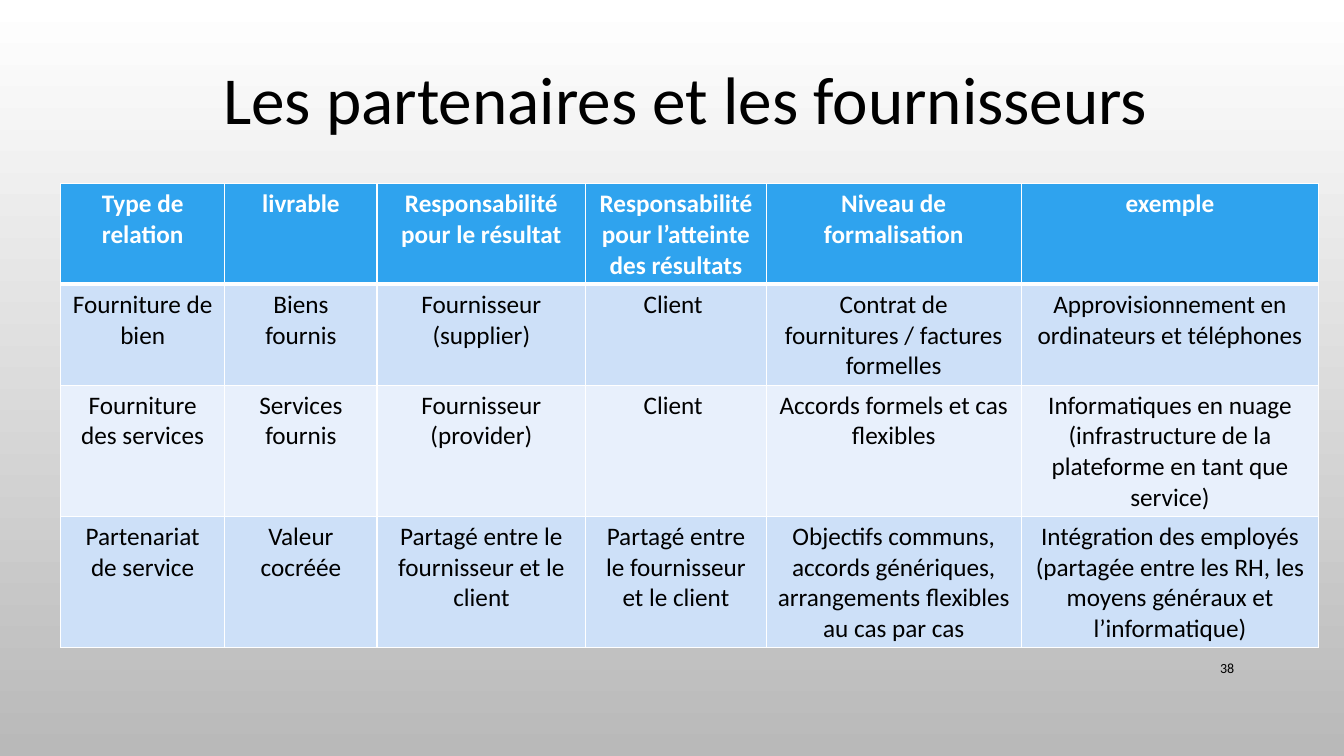
from dataclasses import dataclass

from lxml.etree import SubElement
from pptx import Presentation
from pptx.dml.color import RGBColor
from pptx.enum.text import MSO_ANCHOR, PP_ALIGN
from pptx.oxml import parse_xml
from pptx.oxml.ns import nsdecls, qn
from pptx.util import Inches, Pt


@dataclass(frozen=True)
class Theme:
    font: str = "Calibri"
    title: int = 48
    body: int = 18
    number: int = 10
    black: str = "000000"
    white: str = "FFFFFF"
    grey: str = "B9B9B9"
    header: str = "2FA3EE"
    bands: tuple = ("CDE0F8", "E8F0FC")
    thin: int = 1
    thick: int = 3


T = Theme()
COLS = (1.63, 1.51, 2.07, 1.79, 2.53, 2.95)
ROWS = (0.99, 1, 1.3, 1.3)
SHARED = "Partagé entre le fournisseur et le client"
CELLS = (
    ("Type de relation", "livrable", "Responsabilité pour le résultat",
     "Responsabilité pour l’atteinte des résultats",
     "Niveau de formalisation", "exemple"),
    ("Fourniture de bien", "Biens fournis", "Fournisseur (supplier)", "Client ",
     "Contrat de fournitures / factures formelles",
     "Approvisionnement en ordinateurs et téléphones"),
    ("Fourniture des services", "Services fournis", "Fournisseur (provider)",
     "Client ", "Accords formels et cas flexibles",
     "Informatiques en nuage (infrastructure de la plateforme en tant que service)"),
    ("Partenariat de service", "Valeur cocréée", SHARED, SHARED,
     "Objectifs communs, accords génériques, arrangements flexibles au cas par cas",
     "Intégration des employés (partagée entre les RH, les moyens généraux "
     "et l’informatique)"),
)


def write(tf, text, size=T.body, color=T.black, bold=False,
          align=PP_ALIGN.CENTER, anchor=MSO_ANCHOR.TOP):
    tf.word_wrap = True
    tf.vertical_anchor = anchor
    p = tf.paragraphs[0]
    p.alignment = align
    r = p.add_run()
    r.text = text
    r.font.name = T.font
    r.font.size = Pt(size)
    r.font.bold = bold
    r.font.color.rgb = RGBColor.from_string(color)


def add_borders(cell, top, bottom):
    tc_pr = cell._tc.get_or_add_tcPr()
    widths = {"lnL": T.thin, "lnR": T.thin, "lnT": top, "lnB": bottom}
    for i, (tag, width) in enumerate(widths.items()):
        ln = parse_xml(f'<a:{tag} {nsdecls("a")} w="{Pt(width)}"/>')
        fill = SubElement(ln, qn("a:solidFill"))
        SubElement(fill, qn("a:srgbClr"), val=T.white)
        tc_pr.insert(i, ln)


def add_background(s):
    fill = s.background.fill
    fill.gradient()
    fill.gradient_angle = 270
    for stop, color, position in zip(fill.gradient_stops, (T.white, T.grey), (0, 1)):
        stop.color.rgb = RGBColor.from_string(color)
        stop.position = position


def add_title(s, x, y, w, h):
    sp = s.shapes.title
    sp.left, sp.top, sp.width, sp.height = map(Inches, (x, y, w, h))
    write(sp.text_frame, "Les partenaires et les fournisseurs",
          size=T.title, anchor=MSO_ANCHOR.MIDDLE)


def add_relations(s, x, y):
    frame = s.shapes.add_table(len(ROWS), len(COLS), Inches(x), Inches(y),
                               Inches(sum(COLS)), Inches(sum(ROWS)))
    table = frame.table
    for col, width in zip(table.columns, COLS):
        col.width = Inches(width)
    for i, (row, height) in enumerate(zip(table.rows, ROWS)):
        row.height = Inches(height)
        head = i == 0
        fill = T.header if head else T.bands[(i - 1) % 2]
        for cell, text in zip(row.cells, CELLS[i]):
            write(cell.text_frame, text, bold=head,
                  color=T.white if head else T.black)
            cell.fill.solid()
            cell.fill.fore_color.rgb = RGBColor.from_string(fill)
            add_borders(cell, T.thick if i == 1 else T.thin,
                        T.thick if head else T.thin)


def add_number(s, x, y, w, h):
    sp = s.shapes.add_textbox(*map(Inches, (x, y, w, h)))
    write(sp.text_frame, "38", size=T.number, align=PP_ALIGN.RIGHT,
          anchor=MSO_ANCHOR.MIDDLE)


def main():
    prs = Presentation()
    prs.slide_width, prs.slide_height = Inches(13.33), Inches(7.5)
    s = prs.slides.add_slide(prs.slide_layouts[5])
    add_background(s)
    add_number(s, 11.5, 6.43, 0.84, 0.4)
    add_title(s, 1, 0.51, 11.6, 0.91)
    add_relations(s, 0.6, 1.82)
    prs.save("out.pptx")


if __name__ == "__main__":
    main()
